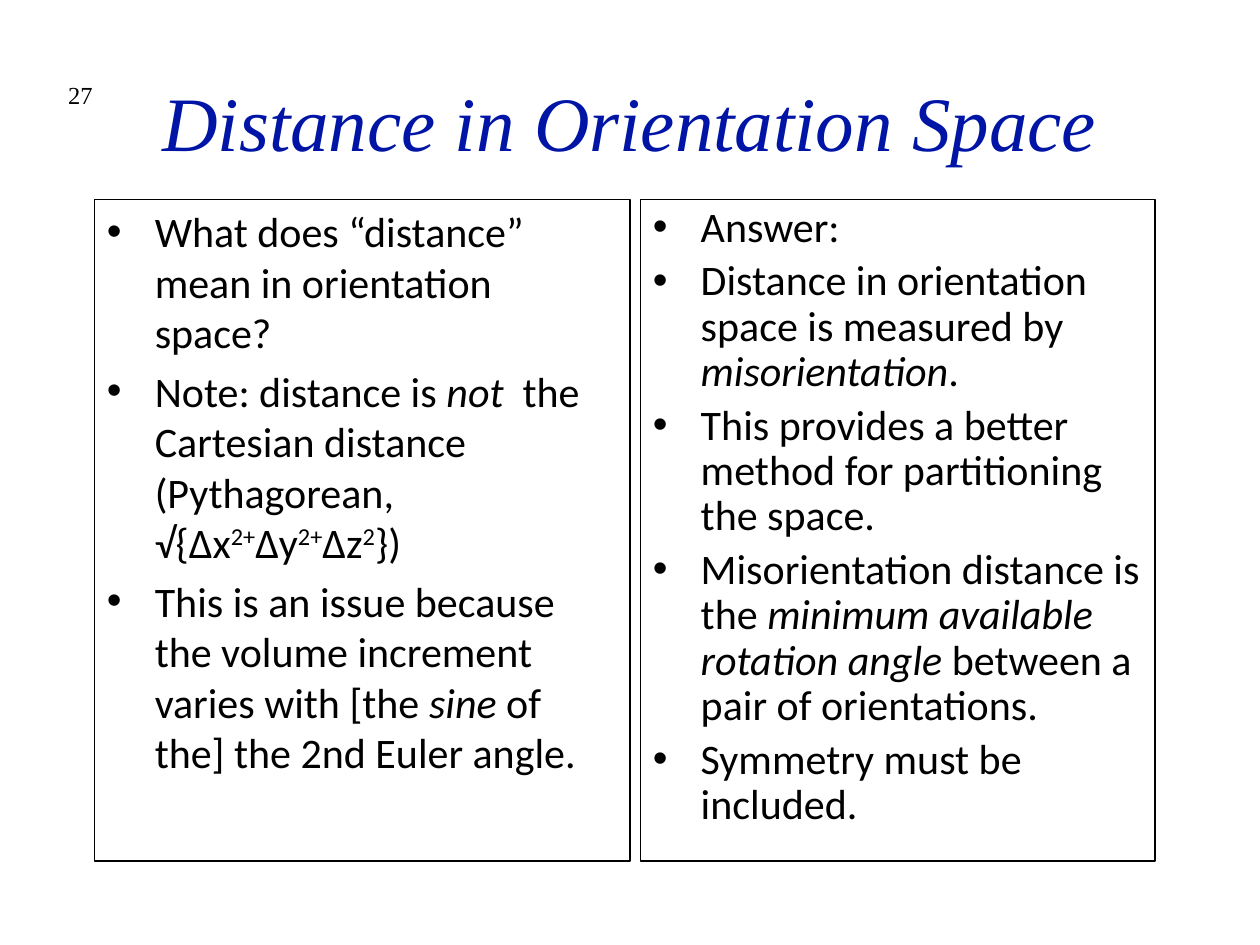
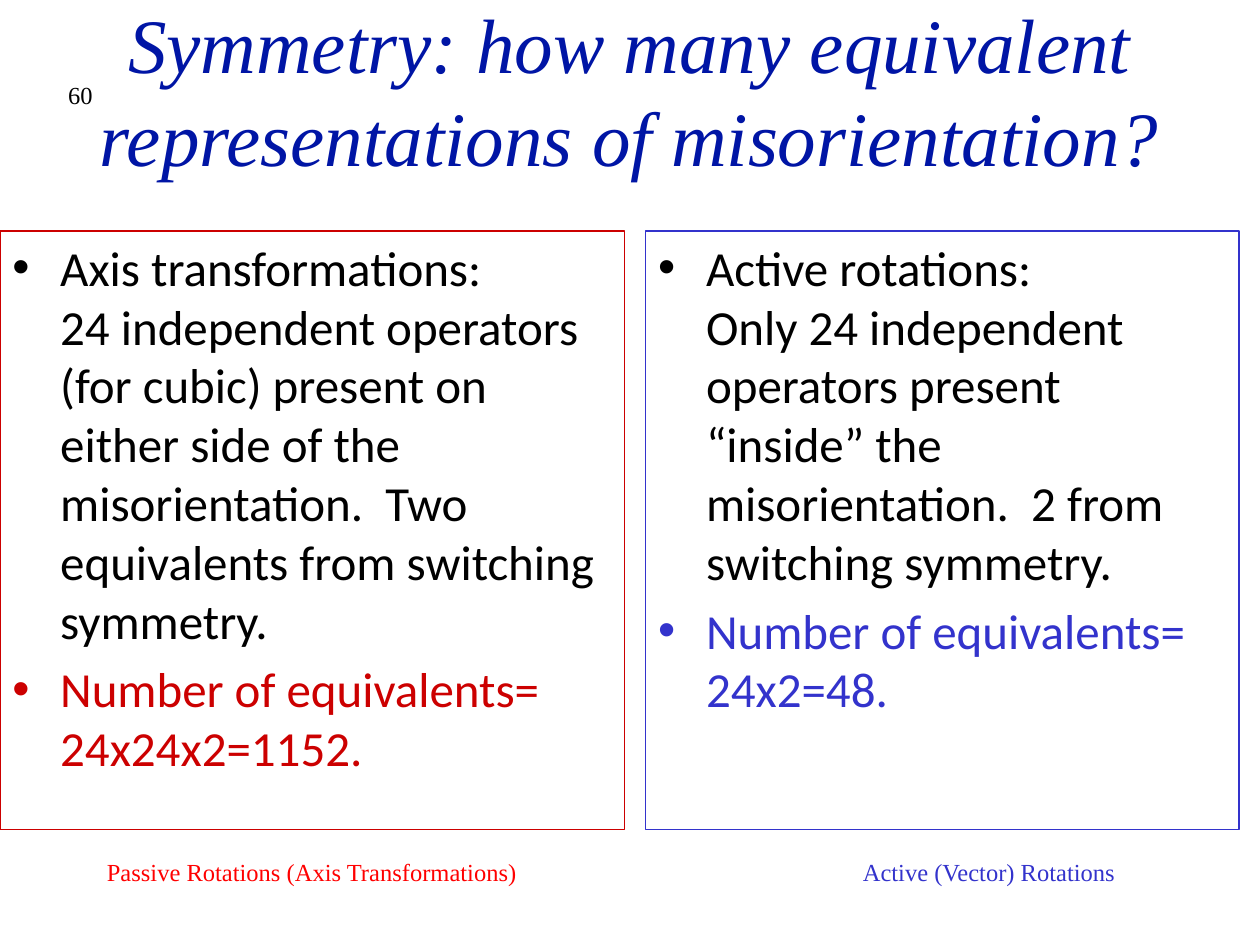
import pptx
import pptx.dml.color
import pptx.enum.shapes
import pptx.enum.text
import pptx.oxml.ns
import pptx.util
from lxml import etree

Pt = pptx.util.Pt
ALIGN = pptx.enum.text.PP_ALIGN
ANCHOR = pptx.enum.text.MSO_ANCHOR

SERIF, SANS = "Times New Roman", "Calibri"
BLACK, TITLE_BLUE = "000000", "0015A5"
RED, BRIGHT_RED, BLUE = "CC0000", "FF0000", "3333CC"
BULLET_INDENT = 27.36
PANEL_RIGHT_INSET = 8.1
CAPTION_TABS = (288, 360, 432)


def color(hex_string):
    return pptx.dml.color.RGBColor.from_string(hex_string)


def add_span(para, text, font, size, hex_string, style=""):
    """Add text run by run, with a line break at each newline."""
    for index, line in enumerate(text.split("\n")):
        if index:
            para.add_line_break()
        span = para.add_run()
        span.text = line
        span.font.name = font
        span.font.size = Pt(size)
        span.font.color.rgb = color(hex_string)
        if style == "italic":
            span.font.italic = True
        elif style == "super":
            span.font._element.set("baseline", "30000")


# Each panel: left, width, line colour, line spacing, paragraphs (colour, spans)
slides = [
    {
        "number": "27",
        "title": "Distance in Orientation Space",
        "title_at": (54, 24, 612, 90),
        "panel_top": 114, "panel_height": 378, "size": 24,
        "panels": [
            (54, 306, BLACK, None, [
                (BLACK, [("What does “distance” mean in orientation space?",)]),
                (BLACK, [("Note: distance is ",), ("not ", "italic"),
                         (" the Cartesian distance (Pythagorean, √{∆x",),
                         ("2+", "super"), ("∆y",), ("2+", "super"),
                         ("∆z",), ("2", "super"), ("})",)]),
                (BLACK, [("This is an issue because the volume increment varies with [the ",),
                         ("sine", "italic"),
                         (" of the] the 2nd Euler angle.",)]),
            ]),
            (366, 294, BLACK, 0.9, [
                (BLACK, [("Answer:",)]),
                (BLACK, [("Distance in orientation space is measured by ",),
                         ("misorientation", "italic"), (".",)]),
                (BLACK, [("This provides a better method for partitioning the space.",)]),
                (BLACK, [("Misorientation distance is the ",),
                         ("minimum available rotation angle ", "italic"),
                         ("between a pair of orientations.",)]),
                (BLACK, [("Symmetry must be included.",)]),
            ]),
        ],
        "labels": [],
    },
    {
        "number": "60",
        "title": "Symmetry: how many equivalent representations of misorientation?",
        "title_at": (0, 6, 720, 90),
        "panel_top": 132, "panel_height": 342, "size": 28,
        "panels": [
            (0, 357, RED, None, [
                (BLACK, [("Axis transformations:\n24 independent operators (for cubic) "
                          "present on either side of the misorientation.  "
                          "Two equivalents from switching symmetry.",)]),
                (RED, [("Number of equivalents=\n24x24x2=1152.",)]),
            ]),
            (369, 339, BLUE, None, [
                (BLACK, [("Active rotations:\nOnly 24 independent operators present "
                          "“inside” the misorientation.  2 from switching symmetry.",)]),
                (BLUE, [("Number of equivalents=\n24x2=48.",)]),
            ]),
        ],
        "labels": [("Passive Rotations (Axis Transformations)\t\t\t", BRIGHT_RED),
                   ("Active (Vector) Rotations", BLUE)],
    },
]

deck = pptx.Presentation()
deck.slide_width, deck.slide_height = Pt(720), Pt(540)

for content in slides:
    page = deck.slides.add_slide(deck.slide_layouts[6])

    # Slide number and title
    heads = [
        (content["number"], (18, 42, 42, 36), 14, BLACK, "", ALIGN.RIGHT, ANCHOR.TOP),
        (content["title"], content["title_at"], 44, TITLE_BLUE, "italic",
         ALIGN.CENTER, ANCHOR.MIDDLE),
    ]
    for text, place, size, ink, style, align, anchor in heads:
        box = page.shapes.add_textbox(*[Pt(length) for length in place])
        box.text_frame.word_wrap = True
        box.text_frame.vertical_anchor = anchor
        para = box.text_frame.paragraphs[0]
        para.alignment = align
        add_span(para, text, SERIF, size, ink, style)

    # Framed bullet panels
    for left, width, line_color, line_spacing, paragraphs in content["panels"]:
        panel = page.shapes.add_shape(
            pptx.enum.shapes.MSO_SHAPE.RECTANGLE, Pt(left), Pt(content["panel_top"]),
            Pt(width), Pt(content["panel_height"]))
        panel.shadow.inherit = False
        panel.fill.background()
        panel.line.color.rgb = color(line_color)
        panel.line.width = Pt(0.75)
        frame = panel.text_frame
        frame.word_wrap = True
        frame.vertical_anchor = ANCHOR.TOP
        frame.margin_right = Pt(PANEL_RIGHT_INSET)
        for index, (ink, spans) in enumerate(paragraphs):
            para = frame.add_paragraph() if index else frame.paragraphs[0]
            para.alignment = ALIGN.LEFT
            para.space_before = Pt(content["size"] * 0.2)
            if line_spacing:
                para.line_spacing = line_spacing
            properties = para._p.get_or_add_pPr()
            properties.set("marL", str(Pt(BULLET_INDENT)))
            properties.set("indent", str(-Pt(BULLET_INDENT)))
            for tag, key, value in (("a:buFont", "typeface", "Arial"),
                                    ("a:buChar", "char", "•")):
                etree.SubElement(properties, pptx.oxml.ns.qn(tag)).set(key, value)
            for text, *style in spans:
                add_span(para, text, SANS, content["size"], ink, *style)

    # Captions under the panels, spaced by tab stops
    if content["labels"]:
        box = page.shapes.add_textbox(Pt(54), Pt(486), Pt(592), Pt(24))
        box.text_frame.word_wrap = False
        box.text_frame.auto_size = pptx.enum.text.MSO_AUTO_SIZE.SHAPE_TO_FIT_TEXT
        para = box.text_frame.paragraphs[0]
        stops = etree.SubElement(para._p.get_or_add_pPr(), pptx.oxml.ns.qn("a:tabLst"))
        for position in CAPTION_TABS:
            stop = etree.SubElement(stops, pptx.oxml.ns.qn("a:tab"))
            stop.set("pos", str(Pt(position)))
            stop.set("algn", "l")
        for text, ink in content["labels"]:
            add_span(para, text, SERIF, 14, ink)

deck.save("out.pptx")
